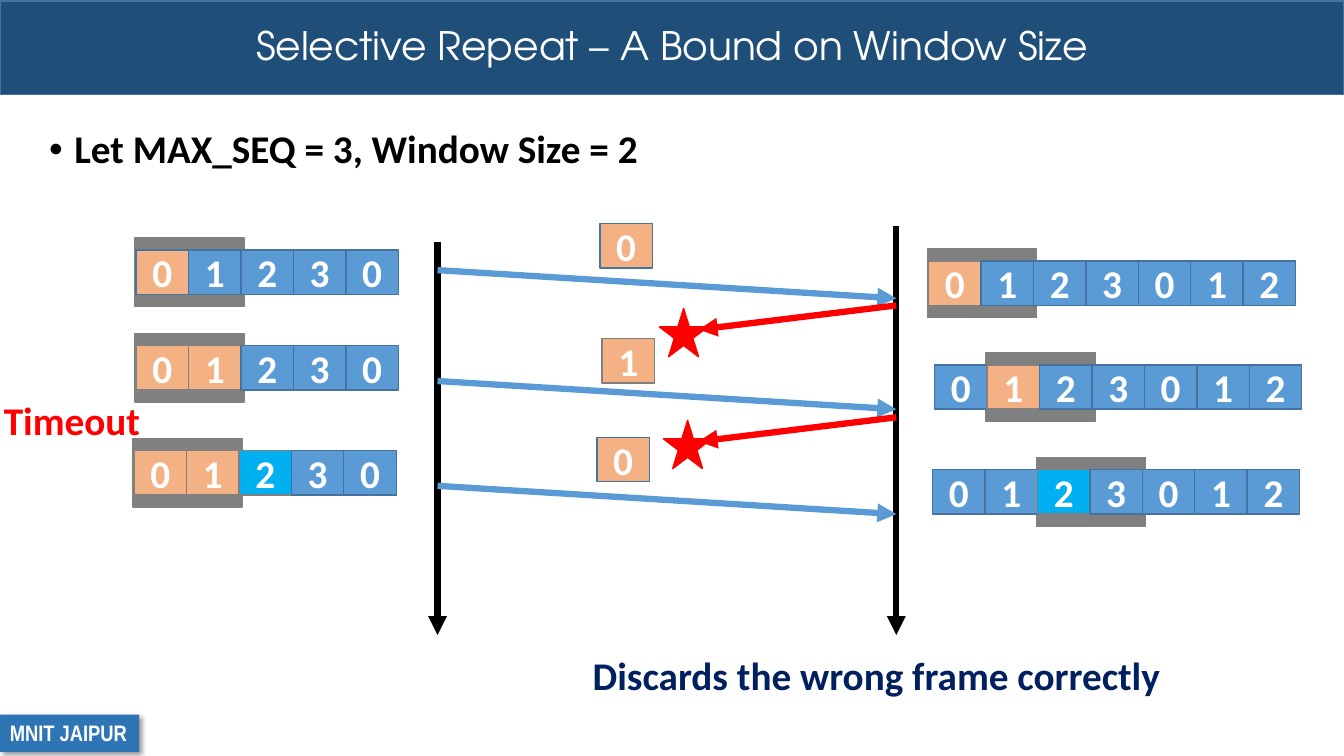
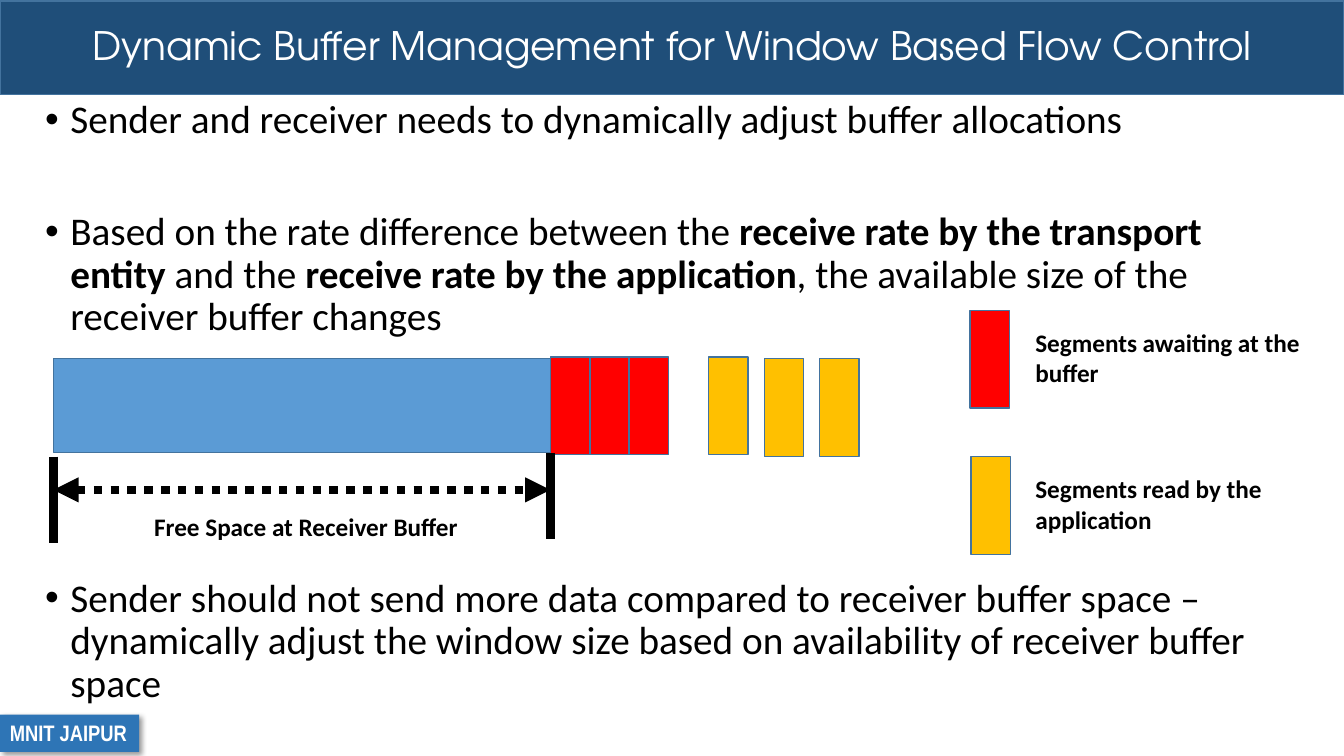
"""Build two slides on sliding-window flow control."""
from dataclasses import dataclass

from lxml import etree
from pptx import Presentation
from pptx.dml.color import RGBColor
from pptx.enum.dml import MSO_LINE
from pptx.enum.shapes import MSO_CONNECTOR, MSO_SHAPE
from pptx.enum.text import MSO_ANCHOR, MSO_AUTO_SIZE, PP_ALIGN
from pptx.oxml import parse_xml
from pptx.oxml.ns import nsdecls, qn
from pptx.util import Inches, Pt

RECTANGLE, STAR = MSO_SHAPE.RECTANGLE, MSO_SHAPE.STAR_5_POINT
STRAIGHT = MSO_CONNECTOR.STRAIGHT
DOTTED = MSO_LINE.ROUND_DOT
TOP, MIDDLE = MSO_ANCHOR.TOP, MSO_ANCHOR.MIDDLE
LEFT, CENTER = PP_ALIGN.LEFT, PP_ALIGN.CENTER
FIT_SHAPE, NO_FIT = MSO_AUTO_SIZE.SHAPE_TO_FIT_TEXT, MSO_AUTO_SIZE.NONE
TITLE_ONLY = 5

GRID = Inches(0.1)
COLUMNS, ROWS = 133.3, 75
BAND = (0, 0.1, COLUMNS, 9.3)
CELL_WIDTH, CELL_HEIGHT = 5.2, 4.4
SEGMENT_WIDTH, SEGMENT_HEIGHT = 3.9, 9.7


@dataclass(frozen=True)
class Theme:
    """Colours, fonts and type sizes of the deck."""
    band: str = "1F4E79"
    footer: str = "2E75B6"
    outline: str = "43739E"
    blue: str = "5B9BD5"
    orange: str = "F4B183"
    cyan: str = "00B0F0"
    grey: str = "808080"
    red: str = "FF0000"
    gold: str = "FFC000"
    navy: str = "002060"
    black: str = "000000"
    white: str = "FFFFFF"
    title_font: str = "TeX Gyre Adventor"
    body_font: str = "Calibri"
    footer_font: str = "Arial Narrow"
    body_size: int = 28
    label_size: int = 18
    footer_size: int = 16


THEME = Theme()
CELL_STYLES = {
    "-": (THEME.blue, THEME.outline),
    "S": (THEME.orange, THEME.outline),
    "H": (THEME.orange, THEME.grey),
    "N": (THEME.cyan, THEME.grey),
}


def steps(*lengths):
    """Turn grid steps into slide lengths."""
    return [round(length * GRID) for length in lengths]


def color(value):
    """Turn a hex string into a colour."""
    return RGBColor.from_string(value)


def add_span(para, text, ink, size=THEME.body_size, font=THEME.body_font, bold=True):
    """Add one formatted run to a paragraph."""
    span = para.add_run()
    span.text = text
    span.font.name, span.font.size, span.font.bold = font, Pt(size), bold
    span.font.color.rgb = color(ink)


def add_figure(page, area, fill, outline=THEME.outline, kind=RECTANGLE):
    """Add a filled, outlined preset shape."""
    figure = page.shapes.add_shape(kind, *steps(*area))
    figure.shadow.inherit = False
    figure.fill.solid()
    figure.fill.fore_color.rgb = color(fill)
    figure.line.color.rgb = color(outline)
    figure.line.width = Pt(1)
    return figure


def add_label(page, area, text, ink=THEME.black, size=THEME.label_size, wrap=True):
    """Add a bold text box."""
    box = page.shapes.add_textbox(*steps(*area))
    box.text_frame.word_wrap = wrap
    box.text_frame.auto_size = FIT_SHAPE
    add_span(box.text_frame.paragraphs[0], text, ink, size)


def add_line(page, start, end, ink, width=4.5, ends=("tailEnd",), dash=None):
    """Add a straight line with triangles at the named ends."""
    line = page.shapes.add_connector(STRAIGHT, *steps(*start, *end))
    line.line.color.rgb = color(ink)
    line.line.width = Pt(width)
    if dash:
        line.line.dash_style = dash
    properties = line.element.spPr
    for name in ends:
        etree.SubElement(properties.find(qn("a:ln")), qn(f"a:{name}"), type="triangle")
    etree.SubElement(properties, qn("a:effectLst"))


def add_bullets(page, area, bullets):
    """Add bulleted paragraphs, each given as space before and runs."""
    box = page.shapes.add_textbox(*steps(*area))
    frame = box.text_frame
    frame.word_wrap = True
    for index, (space, spans) in enumerate(bullets):
        para = frame.add_paragraph() if index else frame.paragraphs[0]
        properties = para._p.get_or_add_pPr()
        properties.set("marL", str(Inches(0.25)))
        properties.set("indent", str(-Inches(0.25)))
        etree.SubElement(properties, qn("a:buFont"), typeface="Arial")
        etree.SubElement(properties, qn("a:buChar"), char="•")
        para.line_spacing = 0.9
        para.space_before = Pt(space)
        for text, bold in spans:
            add_span(para, text, THEME.black, bold=bold)


def add_cell(page, left, top, digit, state):
    """Add one numbered frame in the style of its state."""
    cell = add_figure(page, (left, top, CELL_WIDTH, CELL_HEIGHT), *CELL_STYLES[state])
    cell.text_frame.vertical_anchor = MIDDLE
    para = cell.text_frame.paragraphs[0]
    para.alignment = CENTER
    add_span(para, digit, THEME.white)


def add_sequence(page, left, top, digits, states, window):
    """Add a row of frames over a grey window two frames wide."""
    window_left = left + window * CELL_WIDTH - 0.1
    add_figure(page, (window_left, top - 1.2, 10.8, 6.8), THEME.grey, THEME.grey)
    for index, (digit, state) in enumerate(zip(digits, states)):
        add_cell(page, left + index * CELL_WIDTH, top, digit, state)


def add_segment(page, left, top, fill):
    """Add one buffer segment."""
    add_figure(page, (left, top, SEGMENT_WIDTH, SEGMENT_HEIGHT), fill)


def furnish_layout(page):
    """Draw the band and footer once and move them to the layout."""
    band = add_figure(page, BAND, THEME.band)
    footer = add_figure(page, (0, 70.9, 13.8, 3.7), THEME.footer)
    footer.line.fill.background()
    frame = footer.text_frame
    frame.word_wrap = False
    frame.auto_size = FIT_SHAPE
    frame.vertical_anchor = TOP
    frame.paragraphs[0].alignment = LEFT
    add_span(frame.paragraphs[0], "MNIT JAIPUR", THEME.white,
             THEME.footer_size, THEME.footer_font)
    shadow = parse_xml(
        f'<a:outerShdw {nsdecls("a")} blurRad="{Pt(4)}" dist="{Pt(3)}" dir="2700000">'
        f'<a:srgbClr val="{THEME.black}"><a:alpha val="40000"/></a:srgbClr></a:outerShdw>')
    footer.element.spPr.find(qn("a:effectLst")).append(shadow)
    tree = page.slide_layout.shapes.element
    for index, figure in enumerate((band, footer), start=2):
        tree.insert(index, figure.element)


def add_page(deck, title):
    """Add a slide with its title placed on the band."""
    page = deck.slides.add_slide(deck.slide_layouts[TITLE_ONLY])
    holder = page.shapes.title
    holder.left, holder.top, holder.width, holder.height = steps(*BAND)
    frame = holder.text_frame
    frame.auto_size = NO_FIT
    frame.vertical_anchor = MIDDLE
    para = frame.paragraphs[0]
    para.alignment, para.line_spacing = CENTER, 0.9
    add_span(para, title, THEME.white, font=THEME.title_font, bold=False)
    return page


def draw_window_bound(page):
    """Draw the exchange between a sender and a receiver."""
    add_bullets(page, (3.9, 12.4, 126.3, 6.9),
                [(0, [("Let MAX_SEQ = 3, Window Size = 2", True)])])
    sender, receiver = 43.4, 88.9
    for left, top in ((sender, 24), (receiver, 22.4)):
        add_line(page, (left, top), (left, 63), THEME.black)
    for sequence in (
        (13.5, 24.8, "01230", "S----", 0),
        (13.5, 34.3, "01230", "HH---", 0),
        (13.3, 44.7, "01230", "HHN--", 0),
        (92.1, 25.9, "0123012", "H------", 0),
        (92.7, 36.2, "0123012", "-H-----", 1),
        (92.5, 46.6, "0123012", "--N----", 2),
    ):
        add_sequence(page, *sequence)
    for top in (26.8, 37.8, 48.2):
        add_line(page, (sender, top), (receiver, top + 2.8), THEME.blue)
    for top, star_left in ((30.3, 65.4), (41.4, 65.8)):
        add_line(page, (receiver, top), (69.3, top + 2.4), THEME.red)
        add_figure(page, (star_left, top + 0.3, 4.8, 4.8), THEME.red, THEME.red, STAR)
    for frame in ((59.5, 22.2, "0", "S"), (59.7, 33.6, "1", "H"), (59.2, 43.4, "0", "S")):
        add_cell(page, *frame)
    add_label(page, (-0.6, 38.8, 15.7, 5.7), "Timeout", THEME.red,
              THEME.body_size, wrap=False)
    add_label(page, (57.8, 64.1, 72.4, 5.7), "Discards the wrong frame correctly",
              THEME.navy, THEME.body_size)


def draw_buffer(page):
    """Draw the receiver buffer with its legend."""
    add_bullets(page, (3.5, 9.4, 126.3, 58.5), [
        (0, [("Sender and receiver needs to dynamically adjust buffer allocations", False)]),
        (50, [("Based on the rate difference between the ", False),
              ("receive rate by the transport entity ", True),
              ("and the ", False),
              ("receive rate by the application", True),
              (", the available size of the receiver buffer changes", False)]),
        (171, [("Sender should not send more data compared to receiver buffer space – "
                "dynamically adjust the window size based on availability of receiver "
                "buffer space", False)]),
    ])
    start, free_end = 5.3, 54.6
    add_figure(page, (start, 35.6, 61, 9.3), THEME.blue)
    for index in reversed(range(3)):
        add_segment(page, free_end + index * SEGMENT_WIDTH, 35.4, THEME.red)
    for index, top in enumerate((35.4, 35.6, 35.6)):
        add_segment(page, 70.3 + index * 5.5, top, THEME.gold)
    for left, top in ((start, 45.3), (free_end, 44.9)):
        add_line(page, (left, top), (left, top + 8.6), THEME.black, 6, ends=())
    add_line(page, (start, 48.6), (free_end, 48.6), THEME.black, 6,
             ends=("headEnd", "tailEnd"), dash=DOTTED)
    add_label(page, (14.3, 50.2, 32.5, 4), "Free Space at Receiver Buffer", wrap=False)
    for left, top, fill, text in (
        (96.2, 30.8, THEME.red, "Segments awaiting at the buffer"),
        (96.3, 45.3, THEME.gold, "Segments read by the application"),
    ):
        add_segment(page, left, top, fill)
        add_label(page, (101.7, top + 1.2, 28.2, 7.1), text)


def main():
    """Build and save the deck."""
    deck = Presentation()
    deck.slide_width, deck.slide_height = steps(COLUMNS, ROWS)
    bound = add_page(deck, "Selective Repeat – A Bound on Window Size")
    furnish_layout(bound)
    draw_window_bound(bound)
    draw_buffer(add_page(deck, "Dynamic Buffer Management for Window Based Flow Control"))
    deck.save("out.pptx")


if __name__ == "__main__":
    main()
